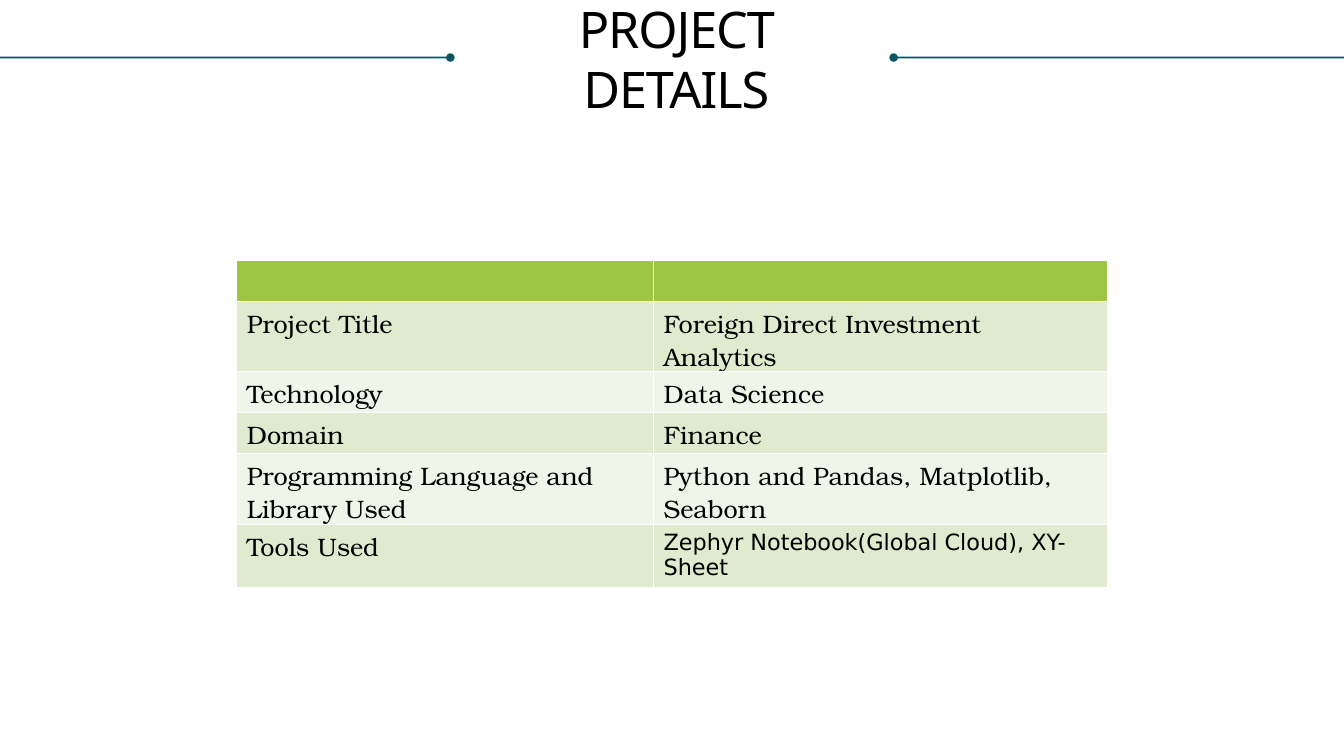
from math import asin, cos, pi, sin

from lxml.etree import SubElement
from pptx import Presentation
from pptx.dml.color import RGBColor
from pptx.enum.text import MSO_ANCHOR, PP_ALIGN
from pptx.oxml.ns import qn
from pptx.util import Cm, Pt

TEAL = RGBColor(0x09, 0x56, 0x62)
GREEN = RGBColor(0x9E, 0xC5, 0x44)
LIGHT = RGBColor(0xDF, 0xEA, 0xCF)
PALE = RGBColor(0xF0, 0xF5, 0xE9)
BLACK = RGBColor(0, 0, 0)

WIDTH, HEIGHT = 33.87, 19.05
COLS = [10.5, 11.45]
# Row height in cm, label, value
ROWS = [
    (1.03, "", ""),
    (1.77, "Project Title", "Foreign Direct Investment Analytics"),
    (1.03, "Technology", "Data Science"),
    (1.03, "Domain", "Finance"),
    (1.79, "Programming Language and Library Used",
     "Python and Pandas, Matplotlib, Seaborn"),
    (1.58, "Tools Used", "Zephyr Notebook(Global Cloud), XY-Sheet"),
]


class Page:
    def __init__(self, slide):
        self.shapes = slide.shapes
        self.head = "Noto Sans"
        self.body = "TeX Gyre Bonum"
        self.plain = "DejaVu Sans"

    def style(self, par, font, size):
        for run in par.runs:
            run.font.name = font
            run.font.size = Pt(size)
            run.font.color.rgb = BLACK

    def title(self, text, left, top, width, height):
        box = self.shapes.add_textbox(Cm(left), Cm(top), Cm(width), Cm(height))
        frame = box.text_frame
        frame.word_wrap = True
        frame.vertical_anchor = MSO_ANCHOR.MIDDLE
        frame.margin_left = frame.margin_right = frame.margin_bottom = 0
        frame.margin_top = Cm(0.03)
        frame.text = text
        par = frame.paragraphs[0]
        par.alignment = PP_ALIGN.CENTER
        par.space_before = Pt(0.9)
        self.style(par, self.head, 36)
        par.runs[0].font._element.set("spc", "-80")

    def rule(self, edge, end, y, size=0.21, thick=0.045, steps=24):
        """Draw a thin bar from the slide edge to a dot centred on its end."""
        radius = size / 2
        side = 1 if edge > end else -1
        start = asin(thick / size)
        turn = (2 * pi - 2 * start) / steps
        angles = [start + turn * i for i in range(steps + 1)]
        points = [(end + side * radius * cos(a), y + radius * sin(a))
                  for a in angles]
        points += [(edge, y - thick / 2), (edge, y + thick / 2)]
        (x, top), *rest = [(Cm(a), Cm(b)) for a, b in points]
        path = self.shapes.build_freeform(x, top)
        path.add_line_segments(rest, close=True)
        bar = path.convert_to_shape()
        bar.shadow.inherit = False
        bar.fill.solid()
        bar.fill.fore_color.rgb = TEAL
        bar.line.fill.background()

    def border(self, cell):
        props = cell._tc.get_or_add_tcPr()
        for place, side in enumerate(("lnL", "lnR", "lnT", "lnB")):
            line = SubElement(props, qn("a:" + side), w=str(Pt(1)))
            fill = SubElement(line, qn("a:solidFill"))
            SubElement(fill, qn("a:srgbClr"), val="FFFFFF")
            props.insert(place, line)

    def cell(self, cell, text, fill, font, size):
        cell.fill.solid()
        cell.fill.fore_color.rgb = fill
        cell.margin_top = Cm(0.12)
        cell.margin_bottom = Cm(-0.05)
        self.border(cell)
        cell.text_frame.text = text
        self.style(cell.text_frame.paragraphs[0], font, size)

    def table(self, left, top, cols, rows):
        high = sum(row[0] for row in rows)
        table = self.shapes.add_table(
            len(rows), len(cols), Cm(left), Cm(top),
            Cm(sum(cols)), Cm(high)).table
        for col, width in zip(table.columns, cols):
            col.width = Cm(width)
        last = len(rows) - 1
        for r, (height, *texts) in enumerate(rows):
            table.rows[r].height = Cm(height)
            fill = GREEN if r == 0 else LIGHT if r % 2 else PALE
            for c, text in enumerate(texts):
                tools = r == last and c == 1
                font, size = (self.plain, 16) if tools else (self.body, 18)
                self.cell(table.cell(r, c), text, fill, font, size)


def main():
    deck = Presentation()
    deck.slide_width, deck.slide_height = Cm(WIDTH), Cm(HEIGHT)
    page = Page(deck.slides.add_slide(deck.slide_layouts[6]))
    page.rule(WIDTH, 22.52, 1.45)
    page.title("PROJECT DETAILS", 12.7, -0.1, 8.69, 3.12)
    page.rule(0, 11.35, 1.45)
    page.table(5.97, 6.57, COLS, ROWS)
    deck.save("out.pptx")


if __name__ == "__main__":
    main()
